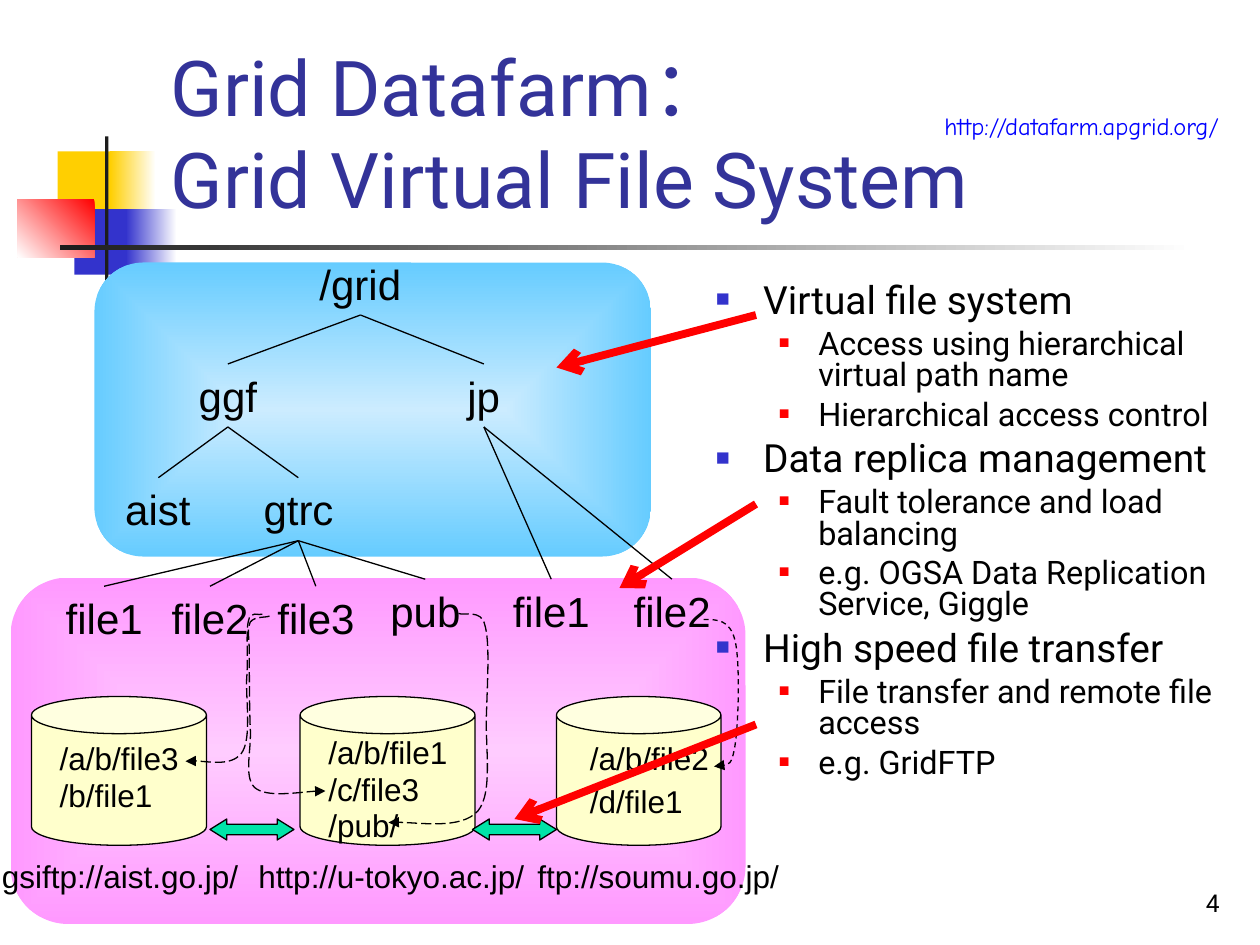
import typing

import lxml.etree
import pptx
import pptx.dml.color
import pptx.enum.dml
import pptx.enum.shapes
import pptx.enum.text
import pptx.oxml.ns
import pptx.util

Pt = pptx.util.Pt
qn = pptx.oxml.ns.qn
KIND = pptx.enum.shapes.MSO_SHAPE
DASH = pptx.enum.dml.MSO_LINE
ALIGN = pptx.enum.text.PP_ALIGN
GROW = pptx.enum.text.MSO_AUTO_SIZE.SHAPE_TO_FIT_TEXT
LOW = pptx.enum.text.MSO_ANCHOR.BOTTOM
SLACK = 3

HUES = {
    "white": "FFFFFF", "black": "000000", "ink": "1C1C1C", "gold": "FFCF01",
    "blue": "3333CC", "navy": "333399", "link": "0000FF", "red": "FF0000",
    "pink": "FFCCFF", "rose": "FF99FF", "pale": "CCECFF", "sky": "66CCFF",
    "cream": "FFFFCC", "green": "00E4A8",
}


class Box(typing.NamedTuple):
    left: float
    top: float
    width: float
    height: float


class Block(typing.NamedTuple):
    box: Box
    hues: tuple
    angle: float | None = 180
    kind: int = KIND.RECTANGLE


class Node(typing.NamedTuple):
    name: str
    left: float
    top: float
    width: float
    root: str | None


class Store(typing.NamedTuple):
    left: float
    width: float
    inset: float
    files: tuple
    site: str
    start: float
    span: float


class Curve(typing.NamedTuple):
    points: list
    dash: int = DASH.LONG_DASH


class Point(typing.NamedTuple):
    text: str
    level: int = 0


BLOCKS = [
    Block(Box(33, 86.5, 35, 37.5), ("gold",)),
    Block(Box(63, 86.5, 26, 37.5), ("white", "gold")),
    Block(Box(42.5, 119.5, 33, 37.5), ("blue",)),
    Block(Box(72, 119.5, 29, 37.5), ("white", "blue")),
    Block(Box(10, 114, 44, 33), ("red", "white"), 225),
    Block(Box(60, 78, 2, 83), ("ink",)),
    Block(Box(34.5, 140.2, 648, 2.4), ("white", "ink")),
    Block(Box(6, 330, 420, 198), ("pink", "rose"), None, KIND.ROUNDED_RECTANGLE),
    Block(Box(54, 150, 318, 168), ("pale", "sky"), None, KIND.ROUNDED_RECTANGLE),
]
NODES = [
    Node("/grid", 175.5, 144, 61, None),
    Node("ggf", 106.5, 208, 47.5, "/grid"),
    Node("jp", 260, 208, 33, "/grid"),
    Node("aist", 64.5, 273, 52, "ggf"),
    Node("gtrc", 143.5, 273, 54, "ggf"),
    Node("file1", 30.5, 335, 58, "gtrc"),
    Node("file2", 91, 335, 58, "gtrc"),
    Node("file3", 151.5, 335, 58, "gtrc"),
    Node("pub", 216, 331, 54, "gtrc"),
    Node("file1", 286, 331, 58, "jp"),
    Node("file2", 355, 331, 58, "jp"),
]
STORES = [
    Store(18, 100, 27, (("/a/b/file3", 418.5), ("/b/file1", 440)),
          "gsiftp://aist.go.jp/", -6, 149),
    Store(171.5, 100, 180.5, (("/a/b/file1", 415.5), ("/c/file3", 436.5), ("/pub/", 457)),
          "http://u-tokyo.ac.jp/", 140.5, 166.5),
    Store(318, 94, 330, (("/a/b/file2", 418.5), ("/d/file1", 443.5)),
          "ftp://soumu.go.jp/", 300, 153),
]
CURVES = [
    Curve([(150, 351), (148, 352), (143, 348.5), (142, 355), (140.5, 361), (142, 376),
           (141, 388), (140.5, 400), (144, 422.5), (138, 430.5), (132, 438), (113, 434),
           (106, 435)]),
    Curve([(262, 350.5), (265, 352), (275, 348), (277, 357), (280, 366.5), (278.5, 389.5),
           (278, 407.5), (277, 425), (282, 453), (273, 463.5), (263.5, 474), (232.5, 469),
           (222, 470)]),
    Curve([(154, 352), (152.5, 353), (145.5, 352), (143, 355.5), (141, 359), (142.5, 363.5),
           (142.5, 373.5), (142.5, 383), (142.5, 402.5), (143, 415.5), (144, 428),
           (139, 443.5), (145.5, 450), (152.5, 456), (178, 451.5), (186, 452)]),
    Curve([(402, 354), (410, 354), (417, 354), (420, 366), (423, 378), (422, 414),
           (420, 426), (418, 438), (413, 438), (408, 438)], DASH.DASH),
]
HINTS = [((432, 180), (318, 210)), ((432, 288), (354, 336)), ((432, 414), (294, 468))]
POINTS = [
    Point("Virtual file system"),
    Point("Access using hierarchical virtual path name", 1),
    Point("Hierarchical access control", 1),
    Point("Data replica management"),
    Point("Fault tolerance and load balancing", 1),
    Point("e.g. OGSA Data Replication Service, Giggle", 1),
    Point("High speed file transfer"),
    Point("File transfer and remote file access", 1),
    Point("e.g. GridFTP", 1),
]
LEVELS = [
    {"size": 22.2, "gap": 6, "left": 27, "hang": -27, "hue": "blue", "scale": 60},
    {"size": 18.5, "gap": 5, "left": 58.5, "hang": -22.5, "hue": "red", "scale": 55},
]


def tint(hue: str) -> pptx.dml.color.RGBColor:
    return pptx.dml.color.RGBColor.from_string(HUES[hue])


def apply(item, vals: dict) -> None:
    for key, val in vals.items():
        setattr(item, key, val)


def add(base, tag: str, **vals):
    node = lxml.etree.SubElement(base, qn(tag))
    for key, val in vals.items():
        node.set(key, str(val))
    return node


def stroke(shape, hue: str, width: float, dash=None, head: str | None = None) -> None:
    shape.line.color.rgb = tint(hue)
    apply(shape.line, {"width": Pt(width), "dash_style": dash})
    if head:
        add(shape.line._get_or_add_ln(), "a:tailEnd", type=head)


def form(host, kind: int, box: Box, hue: str, edge: bool = False):
    shape = host.add_shape(kind, *map(Pt, box))
    shape.shadow.inherit = False
    shape.fill.solid()
    shape.fill.fore_color.rgb = tint(hue)
    if edge:
        stroke(shape, "black", 0.75)
    else:
        shape.line.fill.background()
    return shape


def panel(host, block: Block) -> None:
    shape = form(host, block.kind, block.box, block.hues[0])
    if len(block.hues) == 1:
        return
    shape.fill.gradient()
    for stop, hue in zip(shape.fill.gradient_stops, block.hues):
        stop.color.rgb = tint(hue)
    if block.angle is not None:
        shape.fill.gradient_angle = block.angle
        return
    grad = shape._element.spPr.find(qn("a:gradFill"))
    grad.remove(grad.find(qn("a:lin")))
    area = add(grad, "a:path", path="rect")
    add(area, "a:fillToRect", l=50000, t=50000, r=50000, b=50000)


def style(para, size: float, face: str, hue: str) -> None:
    for run in para.runs:
        apply(run.font, {"size": Pt(size), "name": face})
        run.font.color.rgb = tint(hue)


def label(host, box: Box, text: str, size: float, face: str = "Arial",
          hue: str = "black", align=ALIGN.LEFT, **vals) -> None:
    frame = host.add_textbox(*map(Pt, box)).text_frame
    apply(frame, {"word_wrap": False, "auto_size": GROW} | vals)
    para = frame.paragraphs[0]
    apply(para, {"text": text, "alignment": align})
    style(para, size, face, hue)


def link(host, start: tuple, end: tuple, hue: str, width: float, head=None) -> None:
    line = host.add_connector(pptx.enum.shapes.MSO_CONNECTOR.STRAIGHT, *map(Pt, start + end))
    stroke(line, hue, width, head=head)
    add(line._element.spPr, "a:effectLst")


def bend(host, curve: Curve) -> None:
    spots = [(Pt(x), Pt(y)) for x, y in curve.points]
    pen = host.build_freeform(*spots[0], scale=1.0)
    pen.add_line_segments(spots[1:], close=False)
    shape = pen.convert_to_shape()
    shape.shadow.inherit = False
    shape.fill.background()
    stroke(shape, "black", 0.75, curve.dash, "triangle")
    route = next(shape._element.iter(qn("a:path")))
    for i, step in enumerate(route.findall(qn("a:lnTo"))):
        if i % 3 == 0:
            arc = add(route, "a:cubicBezTo")
        arc.append(step[0])
        route.remove(step)


def outline(host, box: Box, points: list) -> None:
    frame = host.add_textbox(*map(Pt, box)).text_frame
    frame.word_wrap = True
    for i, point in enumerate(points):
        para = frame.add_paragraph() if i else frame.paragraphs[0]
        rank = LEVELS[point.level]
        apply(para, {"text": point.text, "level": point.level, "line_spacing": 0.8,
                     "space_before": Pt(rank["gap"] if i else 0)})
        props = para._p.get_or_add_pPr()
        for key, val in {"marL": rank["left"], "indent": rank["hang"]}.items():
            props.set(key, str(int(Pt(val))))
        add(add(props, "a:buClr"), "a:srgbClr", val=HUES[rank["hue"]])
        add(props, "a:buSzPct", val=rank["scale"] * 1000)
        add(props, "a:buFont", typeface="Arial")
        add(props, "a:buChar", char="■")
        style(para, rank["size"], "Roboto", "black")


def tree(host, nodes: list) -> None:
    known = {node.name: node for node in nodes}
    for node in nodes:
        label(host, Box(node.left, node.top, node.width + SLACK, 36), node.name, 24)
        if node.root:
            root = known[node.root]
            link(host, (root.left + root.width / 2, root.top + 36),
                 (node.left + node.width / 2, node.top), "black", 0.75)


def disk(host, store: Store) -> None:
    label(host, Box(store.start, 486, store.span + SLACK, 29), store.site, 18)
    group = host.add_group_shape().shapes
    form(group, KIND.CAN, Box(store.left, 398, store.width, 85), "cream", True)
    for name, top in store.files:
        label(group, Box(store.inset, top, 82 + SLACK, 29), name, 18)


def main() -> None:
    deck = pptx.Presentation()
    apply(deck, {"slide_width": Pt(720), "slide_height": Pt(540)})
    host = deck.slides.add_slide(deck.slide_layouts[6]).shapes
    fixed = {"word_wrap": True, "auto_size": None}
    for block in BLOCKS:
        panel(host, block)
    label(host, Box(90.5, 16.5, 613, 115), "Grid Datafarm：\vGrid Virtual File System",
          44, "Roboto", "navy", vertical_anchor=LOW, **fixed)
    outline(host, Box(402, 159, 318, 324), POINTS)
    tree(host, NODES)
    for store in STORES:
        disk(host, store)
    for left in (120, 270):
        swap = form(host, KIND.LEFT_RIGHT_ARROW, Box(left, 468, 48, 12), "green", True)
        swap.adjustments[1] = 0.8
    for curve in CURVES:
        bend(host, curve)
    for start, end in HINTS:
        link(host, start, end, "red", 4.5, "arrow")
    label(host, Box(532.5, 60, 176, 24.5), "http://datafarm.apgrid.org/", 14,
          "Comic Neue", "link", word_wrap=True)
    label(host, Box(554, 492, 150, 36), "4", 14, "Roboto", align=ALIGN.RIGHT,
          vertical_anchor=LOW, **fixed)
    deck.save("out.pptx")


if __name__ == "__main__":
    main()
